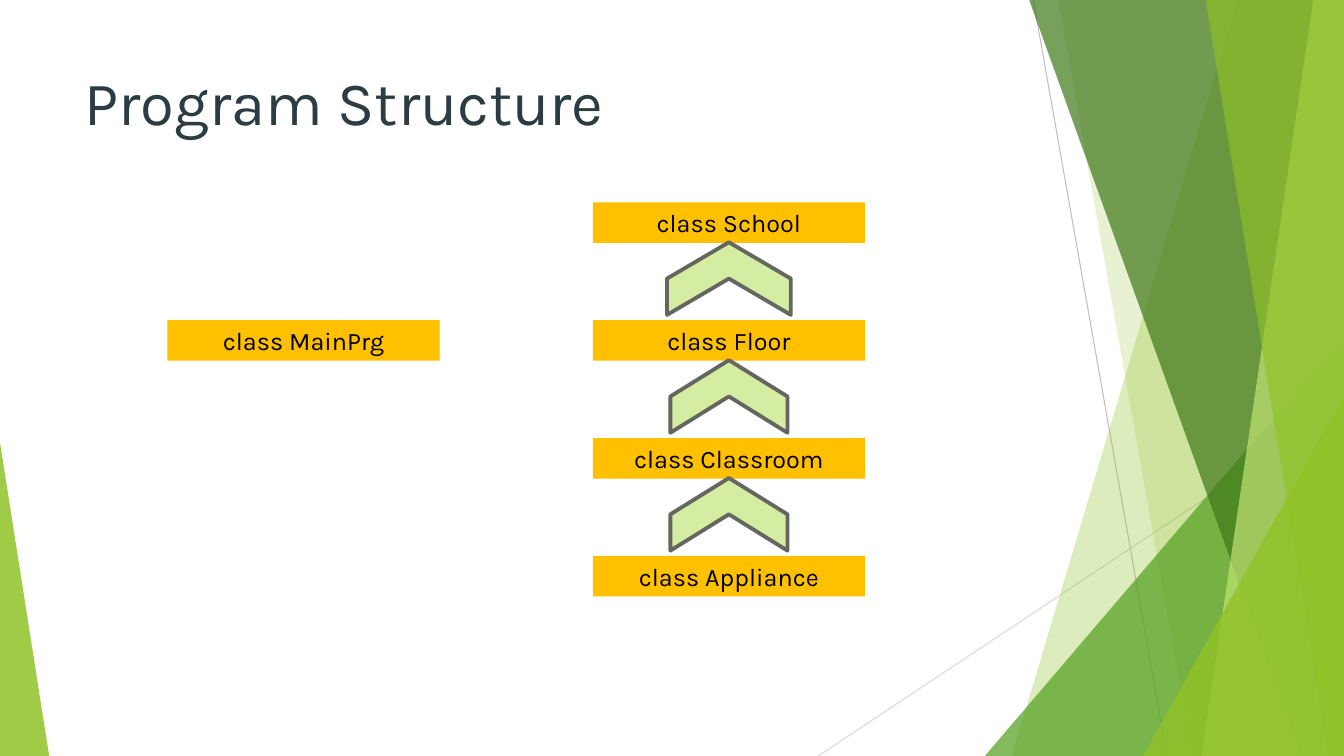
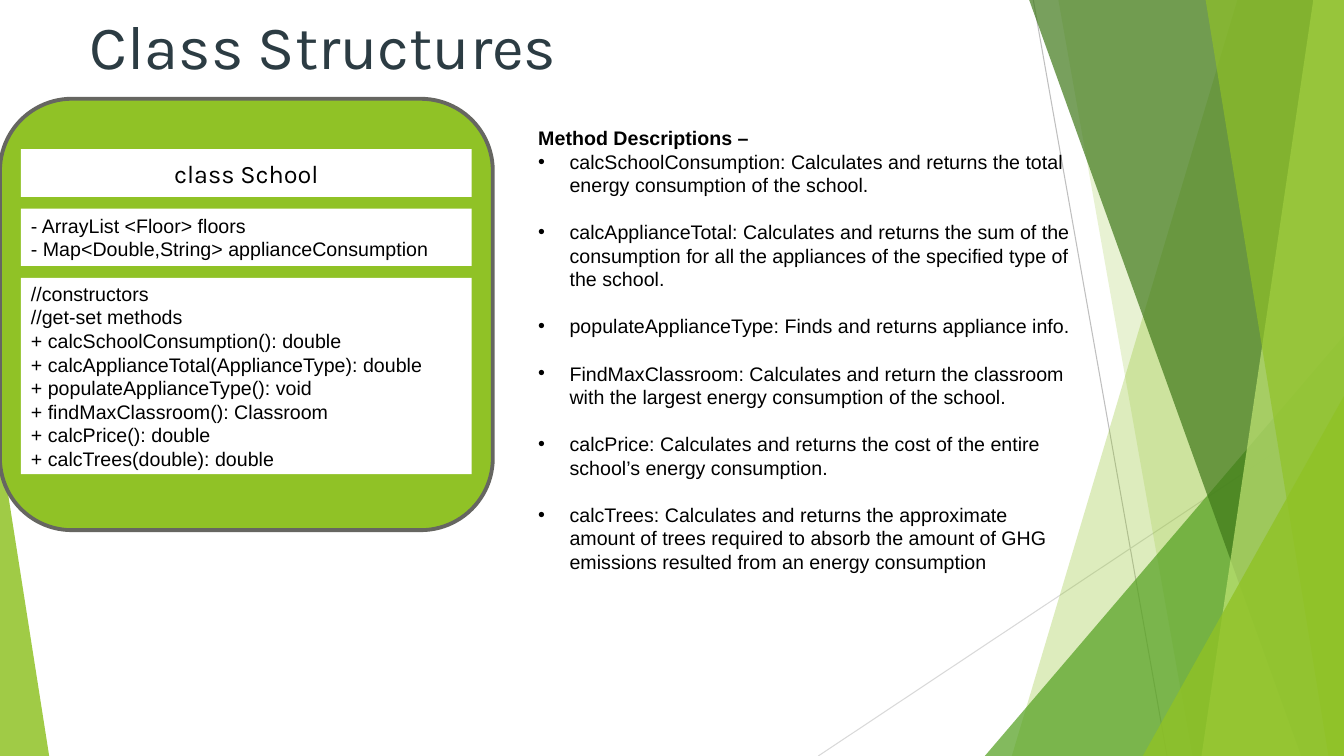
from dataclasses import dataclass

from lxml.etree import SubElement
from pptx import Presentation
from pptx.dml.color import RGBColor
from pptx.enum.shapes import MSO_CONNECTOR, MSO_SHAPE
from pptx.enum.text import MSO_ANCHOR, MSO_AUTO_SIZE, PP_ALIGN
from pptx.oxml.ns import qn
from pptx.util import Cm, Pt


@dataclass(frozen=True)
class Theme:
    head: str = "Karla"
    body: str = "Arial"
    title_size: int = 44
    label_size: int = 18
    text_size: int = 14
    title: str = "2C3C43"
    text: str = "000000"
    white: str = "FFFFFF"
    amber: str = "FFC000"
    lime: str = "90C226"
    pale: str = "D5EDA2"
    light: str = "C0E474"
    green: str = "54A021"
    dark: str = "3F7819"
    outline: str = "666661"
    rule: str = "BFBFBF"
    faint_rule: str = "D9D9D9"


T = Theme()
W, H = 33.87, 19.05


def paint(shape, color, opacity=100, outline=None):
    shape.shadow.inherit = False
    shape.fill.solid()
    shape.fill.fore_color.rgb = RGBColor.from_string(color)
    if opacity < 100:
        clr = shape.element.spPr.find(qn("a:solidFill"))[0]
        SubElement(clr, qn("a:alpha")).set("val", str(opacity * 1000))
    if outline:
        shape.line.color.rgb = RGBColor.from_string(outline)
        shape.line.width = Pt(2.75)
    else:
        shape.line.fill.background()


def write(tf, lines, size, font, color=T.text, align=PP_ALIGN.LEFT, anchor=MSO_ANCHOR.MIDDLE):
    tf.text = "\n".join(lines)
    tf.word_wrap = True
    tf.auto_size = MSO_AUTO_SIZE.NONE
    tf.vertical_anchor = anchor
    for p in tf.paragraphs:
        p.alignment = align
        p.space_before = Pt(0)
        for r in p.runs:
            r.font.size = Pt(size)
            r.font.name = font
            r.font.color.rgb = RGBColor.from_string(color)


prs = Presentation()
prs.slide_width, prs.slide_height = Cm(W), Cm(H)

program = prs.slides.add_slide(prs.slide_layouts[5])
classes = prs.slides.add_slide(prs.slide_layouts[1])

backdrop = []
for x1, y1, x2, y2, color in [
    (26.04, 0, 29.41, H, T.rule),
    (W, 10.24, 20.62, H, T.faint_rule),
]:
    line = program.shapes.add_connector(MSO_CONNECTOR.STRAIGHT, Cm(x1), Cm(y1), Cm(x2), Cm(y2))
    line.line.color.rgb = RGBColor.from_string(color)
    line.line.width = Pt(0.75)
    SubElement(line.element.spPr, qn("a:effectLst"))
    backdrop.append(line)

for geometry, color, opacity in [
    ((31.19, 25.5), T.lime, 30),
    ((26.67, 30.05), T.lime, 20),
    ((24.82, 8.46, 9.05, 1), T.green, 72),
    ((25.93, 32.79), T.dark, 70),
    ((33.1, 30.28), T.light, 70),
    ((30.38, 33.48), T.lime, 65),
    ((28.8, 9.98, 5.07, 1), T.lime, 80),
    ((0, 11.15, 1.24, 0), T.lime, 85),
]:
    if len(geometry) == 2:
        top_x, bottom_x = geometry
        fb = program.shapes.build_freeform(Cm(top_x), Cm(-0.02))
        corners = [(W, -0.02), (W, H), (bottom_x, H)]
        fb.add_line_segments([(Cm(x), Cm(y)) for x, y in corners], close=True)
        shape = fb.convert_to_shape()
    else:
        x, y, width, apex = geometry
        shape = program.shapes.add_shape(
            MSO_SHAPE.ISOSCELES_TRIANGLE, Cm(x), Cm(y), Cm(width), Cm(H - y))
        shape.adjustments[0] = apex
    paint(shape, color, opacity)
    backdrop.append(shape)

master_tree = prs.slide_master.element.cSld.spTree
for i, shape in enumerate(backdrop):
    shape.element.xpath(".//p:cNvPr")[0].set("id", str(100 + i))
    master_tree.insert(2 + i, shape.element)

for s, title, x, y in [
    (program, "Program Structure", 1.88, 1.7),
    (classes, "Class Structures", 2.01, 0.28),
]:
    sp = s.shapes.title
    sp.left, sp.top, sp.width, sp.height = Cm(x), Cm(y), Cm(23.88), Cm(3.66)
    write(sp.text_frame, [title], T.title_size, T.head, T.title, anchor=MSO_ANCHOR.TOP)
    sp.text_frame.paragraphs[0].line_spacing = 0.9

box_x, box_w, box_h = 14.94, 6.86, 1.02
first_y, pitch = 5.1, 2.97
chain = ["School", "Floor", "Classroom", "Appliance"]
boxes = [(name, box_x, first_y + i * pitch) for i, name in enumerate(chain)]
boxes.append(("MainPrg", 4.22, first_y + pitch))
for name, x, y in boxes:
    sp = program.shapes.add_shape(MSO_SHAPE.RECTANGLE, Cm(x), Cm(y), Cm(box_w), Cm(box_h))
    paint(sp, T.amber)
    write(sp.text_frame, [f"class {name}"], T.label_size, T.head, align=PP_ALIGN.CENTER)

arrow_w = 1.83
for i, arrow_h in enumerate([3.12, 2.95, 2.95]):
    x = box_x + (box_w - arrow_w) / 2
    y = first_y + i * pitch + 1.92 - arrow_h / 2
    sp = program.shapes.add_shape(MSO_SHAPE.CHEVRON, Cm(x), Cm(y), Cm(arrow_w), Cm(arrow_h))
    sp.rotation = 270
    paint(sp, T.pale, outline=T.outline)

card = classes.shapes.add_shape(
    MSO_SHAPE.ROUNDED_RECTANGLE, Cm(0), Cm(2.49), Cm(12.42), Cm(10.87))
paint(card, T.lime, outline=T.outline)

fields = ["- ArrayList <Floor> floors", "- Map<Double,String> applianceConsumption"]
methods = [
    "//constructors",
    "//get-set methods",
    "+ calcSchoolConsumption(): double",
    "+ calcApplianceTotal(ApplianceType): double",
    "+ populateApplianceType(): void",
    "+ findMaxClassroom(): Classroom",
    "+ calcPrice(): double",
    "+ calcTrees(double): double",
]
y = 3.76
for lines, height, size, font, align in [
    (["class School"], 1.2, T.label_size, T.head, PP_ALIGN.CENTER),
    (fields, 1.44, T.text_size, T.body, PP_ALIGN.LEFT),
    (methods, 4.95, T.text_size, T.body, PP_ALIGN.LEFT),
]:
    sp = classes.shapes.add_shape(MSO_SHAPE.RECTANGLE, Cm(0.53), Cm(y), Cm(11.36), Cm(height))
    paint(sp, T.white)
    write(sp.text_frame, lines, size, font, align=align)
    y += height + 0.3

descriptions = [
    "Method Descriptions –",
    "calcSchoolConsumption: Calculates and returns the total energy consumption of the school.",
    "calcApplianceTotal: Calculates and returns the sum of the consumption for all the "
    "appliances of the specified type of the school.",
    "populateApplianceType: Finds and returns appliance info.",
    "FindMaxClassroom: Calculates and return the classroom with the largest energy "
    "consumption of the school.",
    "calcPrice: Calculates and returns the cost of the entire school’s energy consumption.",
    "calcTrees: Calculates and returns the approximate amount of trees required to absorb "
    "the amount of GHG emissions resulted from an energy consumption",
]
sp = classes.placeholders[1]
sp.left, sp.top, sp.width, sp.height = Cm(13.31), Cm(3.05), Cm(14.07), Cm(11.63)
write(sp.text_frame, descriptions, T.text_size, T.body, anchor=MSO_ANCHOR.TOP)
heading, *items = sp.text_frame.paragraphs
pPr = heading._p.get_or_add_pPr()
pPr.set("marL", "0")
pPr.set("indent", "0")
SubElement(pPr, qn("a:buNone"))
heading.runs[0].font.bold = True
for i, p in enumerate(items):
    pPr = p._p.get_or_add_pPr()
    pPr.set("marL", str(Cm(0.79)))
    pPr.set("indent", str(-Cm(0.79)))
    p.space_before = Pt(16.8 if i else 0)

prs.save("out.pptx")
